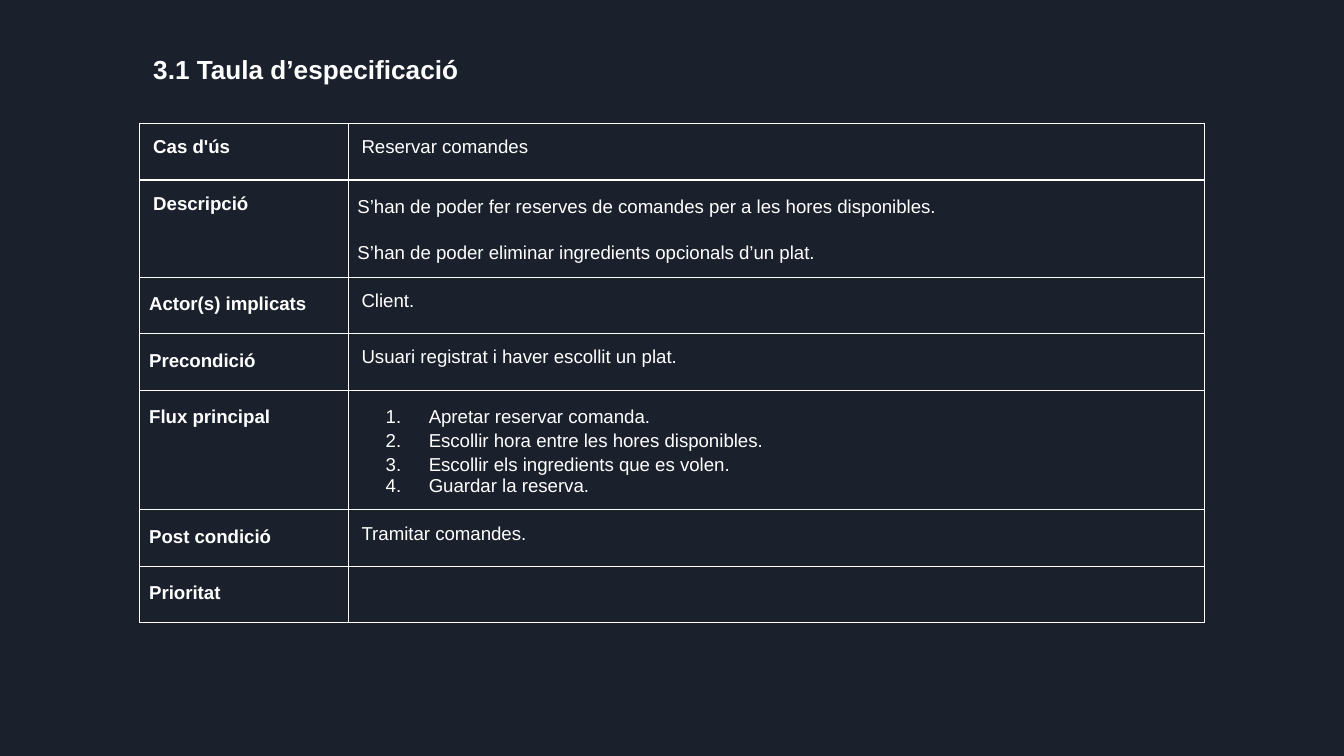
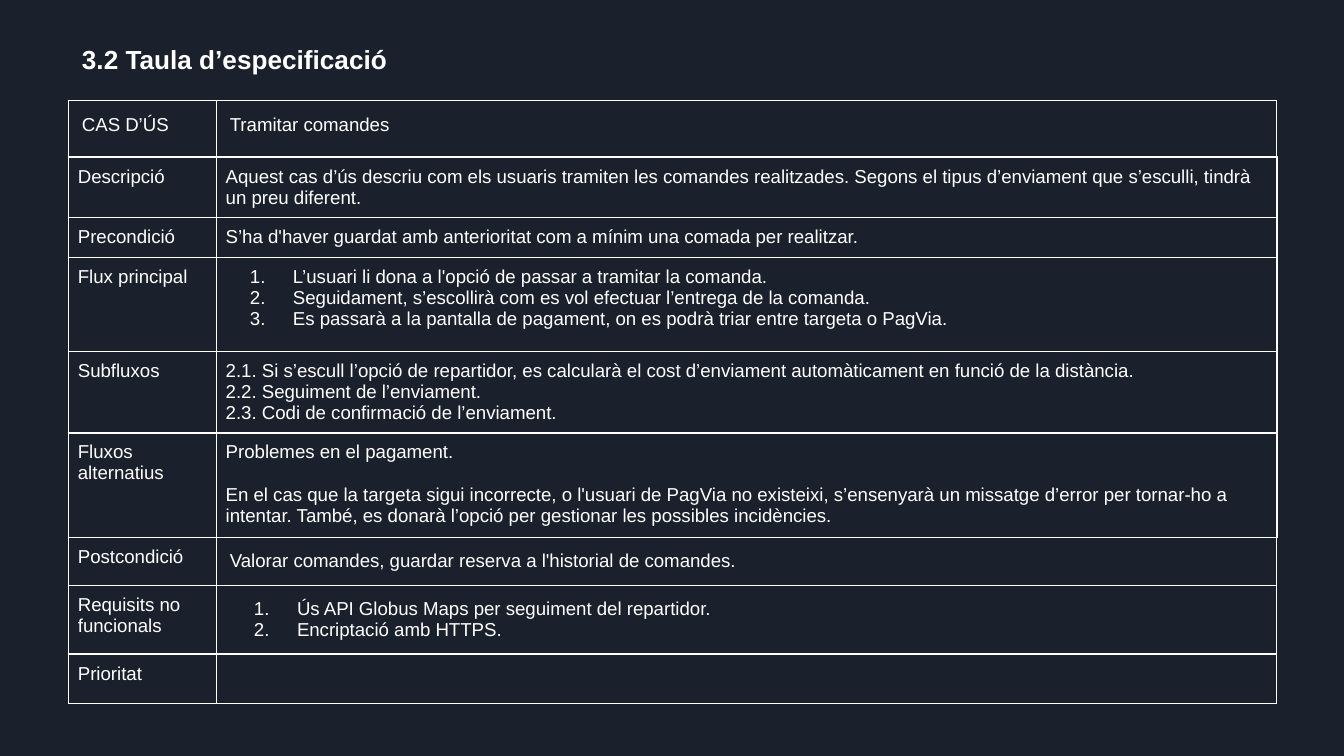
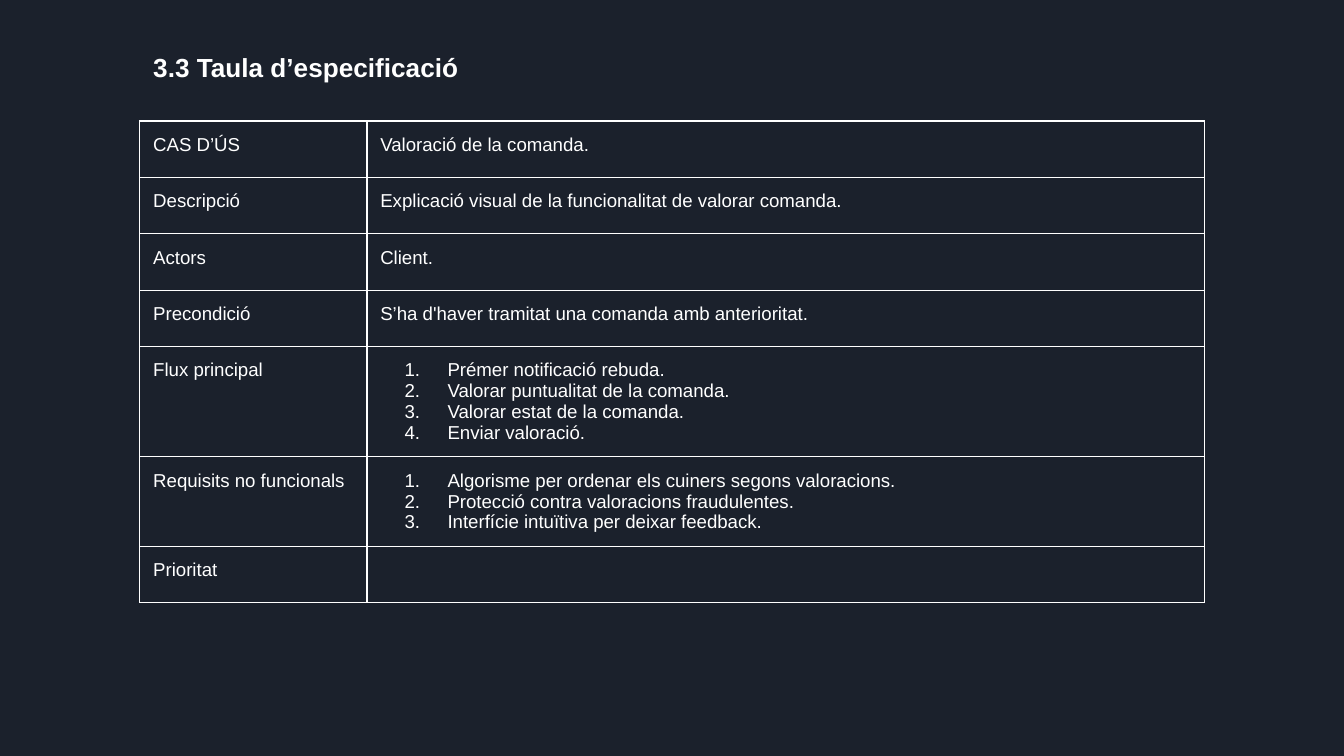
from dataclasses import dataclass

from lxml import etree
from pptx import Presentation
from pptx.dml.color import RGBColor
from pptx.enum.text import MSO_ANCHOR, MSO_AUTO_SIZE, PP_ALIGN
from pptx.oxml.ns import qn
from pptx.util import Inches, Pt

LEFT = PP_ALIGN.LEFT
TOP = MSO_ANCHOR.TOP
FIXED_SIZE = MSO_AUTO_SIZE.NONE

NAVY = "1B212C"
WHITE = "FFFFFF"
FONT = "Arial"
TITLE_ONLY = 5
WIDE, TIGHT = 0.1, 0.07


@dataclass
class Line:
    text: str
    bold: bool = False
    numbered: bool = False
    spacing: float = 1.0
    before: float = 0
    after: float = 0


@dataclass
class Cell:
    lines: list
    side: float = WIDE
    end: float = WIDE
    edges: tuple = ()


def color(value):
    return RGBColor.from_string(value)


def plain(*texts, **layout):
    return Cell([Line(text) for text in texts], **layout)


def tight(*texts):
    return plain(*texts, side=TIGHT, end=TIGHT)


def numbered(*texts, **layout):
    return Cell([Line(text, numbered=True) for text in texts], **layout)


def strong(text):
    return Cell([Line(text, bold=True)])


def loose_label(text):
    return Cell([Line(text, bold=True, spacing=1.15, after=7)], side=TIGHT)


class SpecificationDeck:
    def __init__(self):
        self.deck = Presentation()
        self.deck.slide_width = Inches(10)
        self.deck.slide_height = Inches(10) * 9 // 16
        fill = self.deck.slide_master.background.fill
        fill.solid()
        fill.fore_color.rgb = color(NAVY)
        self.page = None

    def add_page(self):
        self.page = self.deck.slides.add_slide(self.deck.slide_layouts[TITLE_ONLY])

    def add_span(self, para, text, size, bold):
        span = para.add_run()
        span.text = text
        span.font.name = FONT
        span.font.size = Pt(size)
        span.font.bold = bold
        span.font.color.rgb = color(WHITE)

    def add_title(self, text, left, top):
        box = self.page.shapes.title
        box.left, box.top = Inches(left), Inches(top)
        box.width, box.height = Inches(8.87), Inches(0.41)
        frame = box.text_frame
        frame.margin_left = frame.margin_right = Inches(WIDE)
        frame.margin_top = frame.margin_bottom = Inches(WIDE)
        frame.vertical_anchor = TOP
        frame.auto_size = FIXED_SIZE
        frame.word_wrap = True
        para = frame.paragraphs[0]
        para.alignment = LEFT
        self.add_span(para, text, 14, True)

    def add_number(self, para):
        props = para._p.get_or_add_pPr()
        props.set("marL", str(Inches(0.5)))
        props.set("indent", str(Inches(-0.32)))
        tint = etree.SubElement(props, qn("a:buClr"))
        etree.SubElement(tint, qn("a:srgbClr"), val=WHITE)
        etree.SubElement(props, qn("a:buAutoNum"), type="arabicPeriod")

    def add_line(self, para, line):
        para.alignment = LEFT
        para.line_spacing = line.spacing
        para.space_before = Pt(line.before)
        para.space_after = Pt(line.after)
        if line.numbered:
            self.add_number(para)
        self.add_span(para, line.text, 10, line.bold)

    def add_edges(self, target, widths):
        props = target._tc.get_or_add_tcPr()
        for name, width in zip(("lnL", "lnR", "lnT", "lnB"), widths):
            edge = etree.SubElement(props, qn("a:" + name), w=str(Pt(width)))
            fill = etree.SubElement(edge, qn("a:solidFill"))
            etree.SubElement(fill, qn("a:srgbClr"), val=WHITE)
            etree.SubElement(edge, qn("a:prstDash"), val="solid")

    def fill_cell(self, target, cell, edge_width):
        target.margin_left = target.margin_right = Inches(cell.side)
        target.margin_top = target.margin_bottom = Inches(cell.end)
        target.vertical_anchor = TOP
        self.add_edges(target, cell.edges or (edge_width,) * 4)
        target.fill.background()
        frame = target.text_frame
        for index, line in enumerate(cell.lines):
            para = frame.add_paragraph() if index else frame.paragraphs[0]
            self.add_line(para, line)
        if not cell.lines:
            etree.SubElement(frame.paragraphs[0]._p, qn("a:endParaRPr"), sz="1000")

    def add_table(self, left, top, columns, heights, rows, edge_width=0.75):
        box = self.page.shapes.add_table(
            len(rows), len(columns), Inches(left), Inches(top),
            Inches(sum(columns)), Inches(sum(heights)))
        table = box.table
        table.first_row = table.horz_banding = False
        for column, width in zip(table.columns, columns):
            column.width = Inches(width)
        for row, height, cells in zip(table.rows, heights, rows):
            row.height = Inches(height)
            for target, cell in zip(row.cells, cells):
                self.fill_cell(target, cell, edge_width)

    def save(self):
        self.deck.save("out.pptx")


def add_booking(slides):
    slides.add_page()
    slides.add_title("3.1 Taula d’especificació", 1.04, 0.3)
    description = Cell([
        Line("S’han de poder fer reserves de comandes per a les hores disponibles.",
             spacing=1.15, before=12),
        Line("S’han de poder eliminar ingredients opcionals d’un plat.",
             spacing=1.15, before=12),
    ], side=TIGHT)
    flow = Cell([
        Line("Apretar reservar comanda.", numbered=True, spacing=1.15, before=12),
        Line("Escollir hora entre les hores disponibles.", numbered=True, spacing=1.15),
        Line("Escollir els ingredients que es volen.", numbered=True, spacing=1.15),
        Line("Guardar la reserva.", numbered=True),
    ])
    rows = [
        (strong("Cas d'ús"), plain("Reservar comandes")),
        (strong("Descripció"), description),
        (loose_label("Actor(s) implicats"), plain("Client.")),
        (loose_label("Precondició"), plain("Usuari registrat i haver escollit un plat.")),
        (loose_label("Flux principal"), flow),
        (loose_label("Post condició"), plain("Tramitar comandes.")),
        (loose_label("Prioritat"), plain()),
    ]
    slides.add_table(1.04, 0.92, (1.55, 6.37), [0.42] * len(rows), rows)


def add_processing(slides):
    slides.add_page()
    slides.add_title("3.2 Taula d’especificació", 0.51, 0.22)
    header = (0.75, 0.75, 0.75, 1)
    lower = (1, 0.75, 0.75, 0.75)
    alternatives = Cell([
        Line("Problemes en el pagament."),
        Line("En el cas que la targeta sigui incorrecte, o l'usuari de PagVia no existeixi, "
             "s’ensenyarà un missatge d’error per tornar-ho a intentar. També, es donarà "
             "l’opció per gestionar les possibles incidències.", before=11.5),
    ], side=TIGHT, end=TIGHT)
    rows = [
        (plain("CAS D’ÚS", edges=header), plain("Tramitar comandes", edges=header)),
        (tight("Descripció"),
         tight("Aquest cas d’ús descriu com els usuaris tramiten les comandes realitzades. "
               "Segons el tipus d’enviament que s’esculli, tindrà un preu diferent.")),
        (tight("Precondició"),
         tight("S’ha d'haver guardat amb anterioritat com a mínim una comada per realitzar.")),
        (tight("Flux principal"),
         numbered("L’usuari li dona a l'opció de passar a tramitar la comanda.",
                  "Seguidament, s’escollirà com es vol efectuar l’entrega de la comanda.",
                  "Es passarà a la pantalla de pagament, on es podrà triar entre targeta "
                  "o PagVia.", side=TIGHT, end=TIGHT)),
        (tight("Subfluxos"),
         tight("2.1. Si s’escull l’opció de repartidor, es calcularà el cost d’enviament "
               "automàticament en funció de la distància.",
               "2.2. Seguiment de l’enviament.",
               "2.3. Codi de confirmació de l’enviament.")),
        (tight("Fluxos alternatius"), alternatives),
        (tight("Postcondició"),
         plain("Valorar comandes, guardar reserva a l'historial de comandes.",
               edges=(1, 0.75, 1, 0.75))),
        (tight("Requisits no funcionals"),
         numbered("Ús API Globus Maps per seguiment del repartidor.",
                  "Encriptació amb HTTPS.", edges=lower)),
        (tight("Prioritat"), plain(edges=lower)),
    ]
    heights = (0.42, 0.39, 0.29, 0.7, 0.6, 0.78, 0.28, 0.42, 0.32)
    slides.add_table(0.51, 0.75, (1.1, 7.89), heights, rows, edge_width=1)


def add_rating(slides):
    slides.add_page()
    slides.add_title("3.3 Taula d’especificació", 1.04, 0.28)
    rows = [
        (plain("CAS D’ÚS"), plain("Valoració de la comanda.")),
        (plain("Descripció"),
         plain("Explicació visual de la funcionalitat de valorar comanda.")),
        (plain("Actors"), plain("Client.")),
        (plain("Precondició"),
         plain("S’ha d'haver tramitat una comanda amb anterioritat.")),
        (plain("Flux principal"),
         numbered("Prémer notificació rebuda.", "Valorar puntualitat de la comanda.",
                  "Valorar estat de la comanda.", "Enviar valoració.")),
        (plain("Requisits no funcionals"),
         numbered("Algorisme per ordenar els cuiners segons valoracions.",
                  "Protecció contra valoracions fraudulentes.",
                  "Interfície intuïtiva per deixar feedback.")),
        (plain("Prioritat"), plain()),
    ]
    slides.add_table(1.04, 0.9, (1.69, 6.23), [0.42] * len(rows), rows)


def main():
    slides = SpecificationDeck()
    add_booking(slides)
    add_processing(slides)
    add_rating(slides)
    slides.save()


if __name__ == "__main__":
    main()
